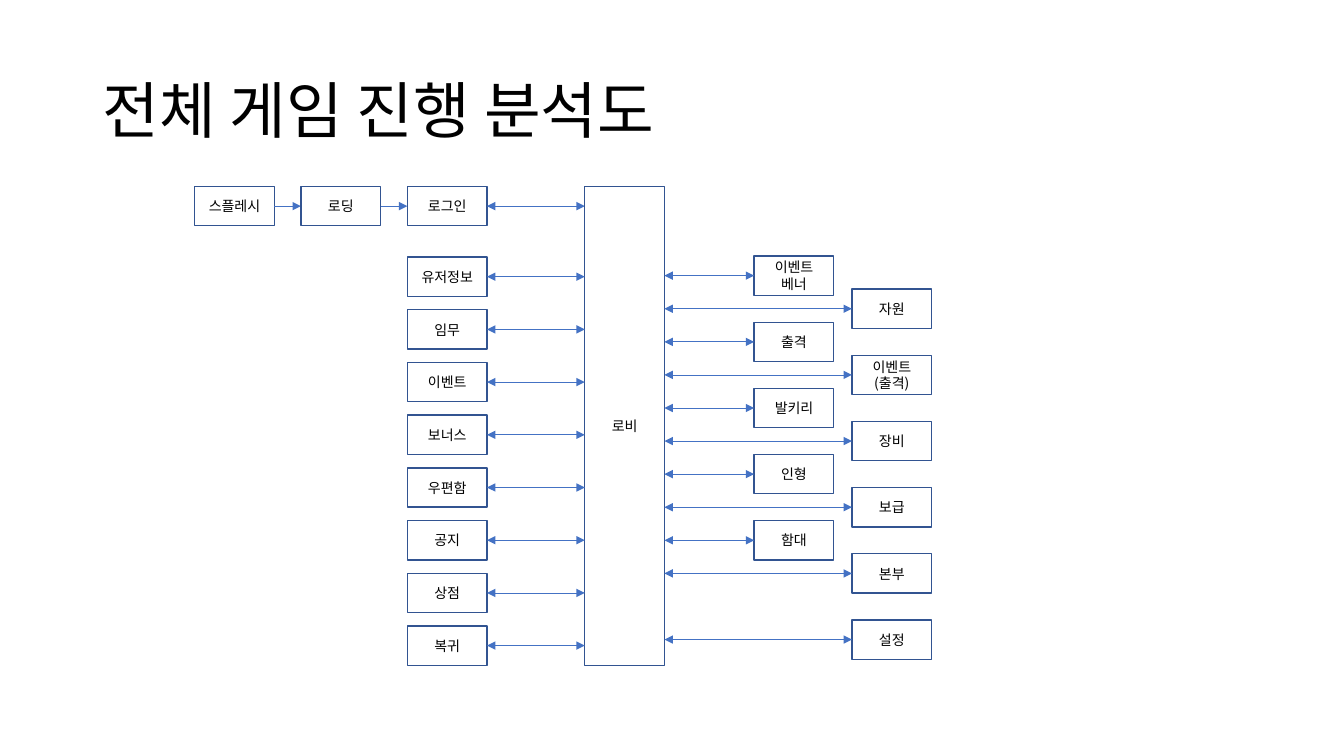
import lxml.etree
import pptx
import pptx.dml.color
import pptx.enum.shapes
import pptx.enum.text
import pptx.oxml.ns
import pptx.util

Inches = pptx.util.Inches
Pt = pptx.util.Pt
Color = pptx.dml.color.RGBColor.from_string
qualified = pptx.oxml.ns.qn

THEME = {
    "font": "Noto Sans CJK KR",
    "text": Color("000000"),
    "box_fill": Color("FFFFFF"),
    "box_line": Color("325491"),
    "arrow": Color("4472C4"),
    "title_size": Pt(44),
    "label_size": Pt(10),
    "box_line_width": Pt(1),
    "arrow_width": Pt(0.5),
}

BOX_WIDTH, BOX_HEIGHT = 0.79, 0.39
TOP_ROW, LOGIN_LEFT, LOBBY_LEFT, LOBBY_HEIGHT = 1.85, 4.04, 5.8, 4.75
LOBBY_RIGHT = LOBBY_LEFT + BOX_WIDTH
LEFT_SITE, RIGHT_SITE = 1, 3

presentation = pptx.Presentation()
presentation.slide_width = Inches(13.33)
presentation.slide_height = Inches(7.5)
slide = presentation.slides.add_slide(presentation.slide_layouts[6])


def add_text(shape, text, size, paragraph_format):
    """Write one middle-anchored paragraph in the theme font."""
    frame = shape.text_frame
    frame.word_wrap = True
    frame.vertical_anchor = pptx.enum.text.MSO_ANCHOR.MIDDLE
    paragraph = frame.paragraphs[0]
    for name, value in paragraph_format.items():
        setattr(paragraph, name, value)
    run = paragraph.add_run()
    run.text = text
    for name, value in {"name": THEME["font"], "size": size}.items():
        setattr(run.font, name, value)
    run.font.color.rgb = THEME["text"]
    east_asian = lxml.etree.SubElement(run.font._element, qualified("a:ea"))
    east_asian.set("typeface", THEME["font"])


def add_arrow(start_box, site, end_x, y, ends):
    """Draw a level arrow from a side of a box to end_x, with the given heads."""
    connector = slide.shapes.add_connector(
        pptx.enum.shapes.MSO_CONNECTOR.STRAIGHT,
        Inches(end_x), Inches(y), Inches(end_x), Inches(y))
    connector.begin_connect(start_box, site)
    connector.end_y = connector.begin_y
    connector.line.color.rgb = THEME["arrow"]
    connector.line.width = THEME["arrow_width"]
    line = connector.line._get_or_add_ln()
    for end in ends:
        lxml.etree.SubElement(line, qualified("a:" + end)).set("type", "triangle")
    lxml.etree.SubElement(connector._element.spPr, qualified("a:effectLst"))


title = slide.shapes.add_textbox(Inches(0.92), Inches(0.4), Inches(11.5), Inches(1.45))
add_text(title, "전체 게임 진행 분석도", THEME["title_size"], {"line_spacing": 0.9})

# Each box: label, left, top, height
start_step = (LOGIN_LEFT - 1.93) / 2
start_labels = ["스플레시", "로딩", "로그인"]
boxes = [(label, 1.93 + index * start_step, TOP_ROW, BOX_HEIGHT)
         for index, label in enumerate(start_labels)]
boxes.append(("로비", LOBBY_LEFT, TOP_ROW, LOBBY_HEIGHT))

left_labels = ["유저정보", "임무", "이벤트", "보너스", "우편함", "공지", "상점", "복귀"]
left_step = (6.21 - 2.55) / 7
boxes += [(label, LOGIN_LEFT, 2.55 + index * left_step, BOX_HEIGHT)
          for index, label in enumerate(left_labels)]

# The right-hand menu alternates between two columns; None leaves a slot empty
right_labels = ["이벤트 베너", "자원", "출격", "이벤트(출격)", "발키리", "장비",
                "인형", "보급", "함대", "본부", None, "설정"]
right_columns = [7.48, 8.45]
right_step = (6.15 - 2.54) / 11
boxes += [(label, right_columns[index % 2], 2.54 + index * right_step, BOX_HEIGHT)
          for index, label in enumerate(right_labels) if label]

for label, left, top, height in boxes:
    box = slide.shapes.add_shape(
        pptx.enum.shapes.MSO_SHAPE.RECTANGLE,
        Inches(left), Inches(top), Inches(BOX_WIDTH), Inches(height))
    box.shadow.inherit = False
    box.fill.solid()
    box.fill.fore_color.rgb = THEME["box_fill"]
    box.line.color.rgb = THEME["box_line"]
    box.line.width = THEME["box_line_width"]
    add_text(box, label, THEME["label_size"],
             {"alignment": pptx.enum.text.PP_ALIGN.CENTER})

    middle = top + BOX_HEIGHT / 2
    both_ends = ["headEnd", "tailEnd"]
    if left < LOGIN_LEFT:
        add_arrow(box, RIGHT_SITE, left + start_step, middle, ["tailEnd"])
    elif left < LOBBY_LEFT:
        add_arrow(box, RIGHT_SITE, LOBBY_LEFT, middle, both_ends)
    elif left > LOBBY_LEFT:
        add_arrow(box, LEFT_SITE, LOBBY_RIGHT, middle, both_ends)

presentation.save("out.pptx")
